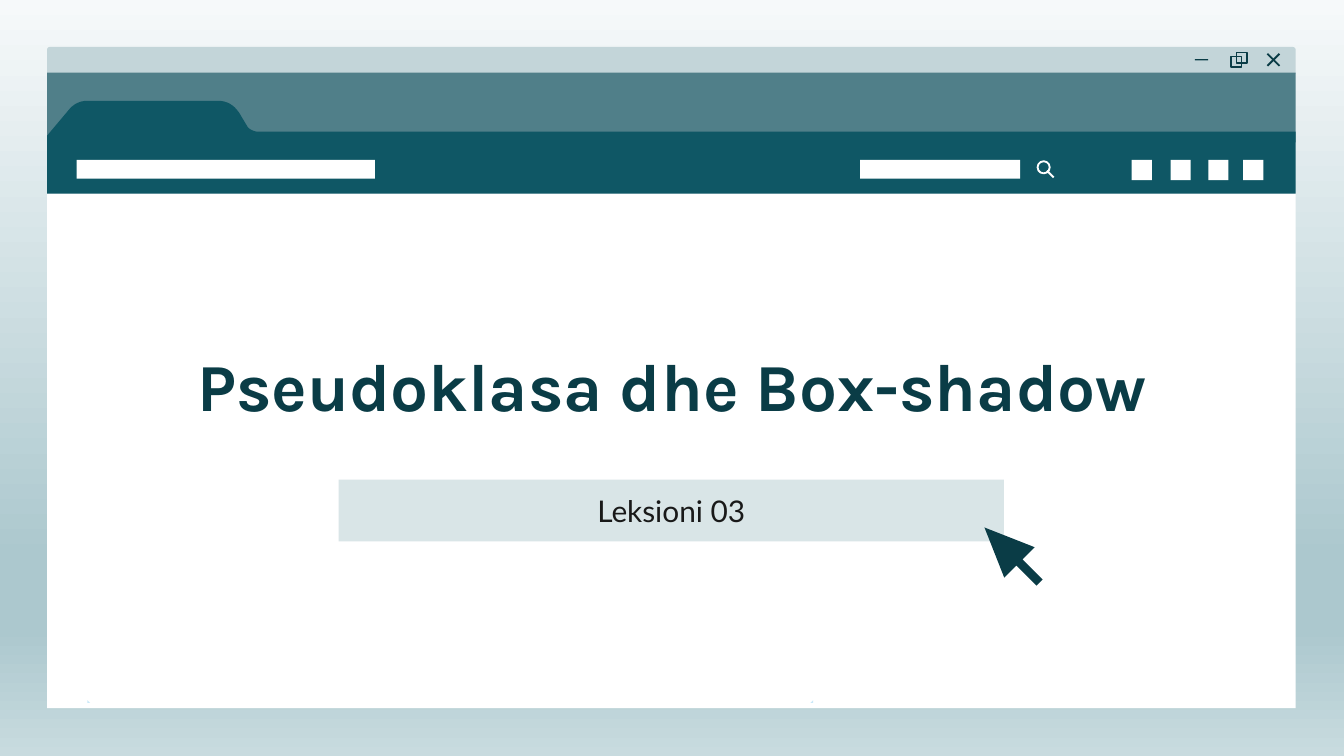
import lxml.etree
import pptx
import pptx.dml.color
import pptx.enum.shapes
import pptx.enum.text
import pptx.oxml.ns
import pptx.util

Inches = pptx.util.Inches
Pt = pptx.util.Pt
RGBColor = pptx.dml.color.RGBColor
MSO_SHAPE = pptx.enum.shapes.MSO_SHAPE
MSO_ANCHOR = pptx.enum.text.MSO_ANCHOR
qn = pptx.oxml.ns.qn

INK = RGBColor(0x0A, 0x3C, 0x46)
TEAL = RGBColor(0x0F, 0x57, 0x65)
MID_TEAL = RGBColor(0x50, 0x7F, 0x89)
PALE_TEAL = RGBColor(0xC3, 0xD5, 0xD9)
BAND = RGBColor(0xD9, 0xE5, 0xE7)
SPECK = RGBColor(0xCA, 0xE8, 0xF8)
WHITE = RGBColor(0xFF, 0xFF, 0xFF)
TEXT = RGBColor(0x19, 0x19, 0x19)
SKY = [(0, RGBColor(0xF6, 0xF9, 0xFA)), (74, RGBColor(0xAC, 0xC8, 0xCE)),
       (83, RGBColor(0xAC, 0xC8, 0xCE)), (100, RGBColor(0xC8, 0xDB, 0xDF))]

# A 16:9 slide
prs = pptx.Presentation()
prs.slide_width = Inches(10)
prs.slide_height = Inches(10 * 9 / 16)
s = prs.slides.add_slide(prs.slide_layouts[5])


def add_box(x, y, w, h, fill=None, line=None, kind=MSO_SHAPE.RECTANGLE, weight=0.75):
    sp = s.shapes.add_shape(kind, Inches(x), Inches(y), Inches(w), Inches(h))
    sp.shadow.inherit = False
    if fill is None:
        sp.fill.background()
    else:
        sp.fill.solid()
        sp.fill.fore_color.rgb = fill
    if line is None:
        sp.line.fill.background()
    else:
        sp.line.color.rgb = line
        sp.line.width = Pt(weight)
    return sp


def write_text(sp, text, size, font, color, bold=False, anchor=MSO_ANCHOR.MIDDLE):
    tf = sp.text_frame
    tf.word_wrap = True
    tf.auto_size = pptx.enum.text.MSO_AUTO_SIZE.NONE
    tf.vertical_anchor = anchor
    tf.margin_left = tf.margin_right = tf.margin_top = tf.margin_bottom = Inches(0.1)
    p = tf.paragraphs[0]
    p.alignment = pptx.enum.text.PP_ALIGN.CENTER
    r = p.add_run()
    r.text = text
    r.font.size = Pt(size)
    r.font.name = font
    r.font.bold = bold
    r.font.color.rgb = color


# Background gradient, top to bottom
bg = s.background.fill
bg.gradient()
bg.gradient_angle = 270
stops = s.element.find(".//" + qn("a:gsLst"))
for stop in list(stops):
    stops.remove(stop)
for percent, color in SKY:
    stop = lxml.etree.SubElement(stops, qn("a:gs"), pos=str(percent * 1000))
    lxml.etree.SubElement(stop, qn("a:srgbClr"), val=str(color))

# Window: title bar, tab strip, page
title_bar = add_box(0.35, 0.35, 9.29, 0.2, PALE_TEAL, kind=MSO_SHAPE.ROUND_2_SAME_RECTANGLE)
title_bar.adjustments[0] = 0.1
add_box(0.35, 0.54, 9.29, 0.52, MID_TEAL)
add_box(0.35, 1.44, 9.29, 3.83, WHITE)

# Toolbar with its tab: two numbers make a line, six a Bézier curve
tab_outline = [(0.65, 0.75), (0.59, 0.75, 0.54, 0.78, 0.51, 0.82), (0.35, 1.01),
               (0.35, 1.44), (9.64, 1.44), (9.64, 0.98), (1.92, 0.98),
               (1.89, 0.98, 1.85, 0.96, 1.84, 0.94), (1.78, 0.84),
               (1.74, 0.78, 1.69, 0.75, 1.62, 0.75)]
points = []
for step in tab_outline:
    if len(step) == 2:
        points.append(step)
        continue
    (x0, y0), (x1, y1, x2, y2, x3, y3) = points[-1], step
    for i in range(1, 9):
        t = i / 8
        a, b, c, d = (1 - t) ** 3, 3 * t * (1 - t) ** 2, 3 * t * t * (1 - t), t ** 3
        points.append((a * x0 + b * x1 + c * x2 + d * x3,
                       a * y0 + b * y1 + c * y2 + d * y3))
points = [(Inches(x), Inches(y)) for x, y in points]
builder = s.shapes.build_freeform(*points[0])
builder.add_line_segments(points[1:], close=True)
toolbar = builder.convert_to_shape()
toolbar.shadow.inherit = False
toolbar.fill.solid()
toolbar.fill.fore_color.rgb = TEAL
toolbar.line.fill.background()

# Address bar, search bar and buttons
for x, w in [(0.57, 2.22), (6.4, 1.19)]:
    add_box(x, 1.19, w, 0.14, WHITE)
for x in [8.42, 8.71, 8.99, 9.25]:
    add_box(x, 1.19, 0.15, 0.15, WHITE)

# Magnifier lens and window controls
add_box(7.72, 1.2, 0.09, 0.09, line=WHITE, kind=MSO_SHAPE.OVAL, weight=1)
add_box(8.89, 0.44, 0.1, 0.01, INK)
for x, y in [(9.16, 0.42), (9.2, 0.39)]:
    add_box(x, y, 0.08, 0.08, line=INK)

# Magnifier handle and closing cross
for x1, y1, x2, y2, color in [(7.79, 1.27, 7.84, 1.32, WHITE),
                              (9.43, 0.4, 9.52, 0.49, INK),
                              (9.43, 0.49, 9.52, 0.4, INK)]:
    stroke = s.shapes.add_connector(pptx.enum.shapes.MSO_CONNECTOR.STRAIGHT,
                                    Inches(x1), Inches(y1), Inches(x2), Inches(y2))
    stroke.line.color.rgb = color
    stroke.line.width = Pt(1)
    lxml.etree.SubElement(stroke.element.spPr, qn("a:effectLst"))

# Specks at the foot of the page
for x, angle in [(0.65, 0), (6.03, 270)]:
    speck = add_box(x, 5.21, 0.02, 0.02, SPECK, kind=MSO_SHAPE.RIGHT_TRIANGLE)
    speck.rotation = angle

# Title, raised above the window
title = s.shapes.title
s.shapes.element.append(title.element)
title.left, title.top = Inches(1.17), Inches(2.46)
title.width, title.height = Inches(7.66), Inches(0.86)
write_text(title, "Pseudoklasa dhe Box-shadow", size=36, font="Karla", color=INK,
           bold=True, anchor=MSO_ANCHOR.TOP)

# Subtitle band
subtitle = add_box(2.52, 3.57, 4.95, 0.46, BAND)
write_text(subtitle, "Leksioni 03", size=16, font="Lato", color=TEXT)

# Mouse pointer
pointer = add_box(7.24, 3.97, 0.58, 0.32, INK, kind=MSO_SHAPE.RIGHT_ARROW)
pointer.adjustments[0] = 0.2
pointer.adjustments[1] = 1.15
pointer.rotation = 225

prs.save("out.pptx")
